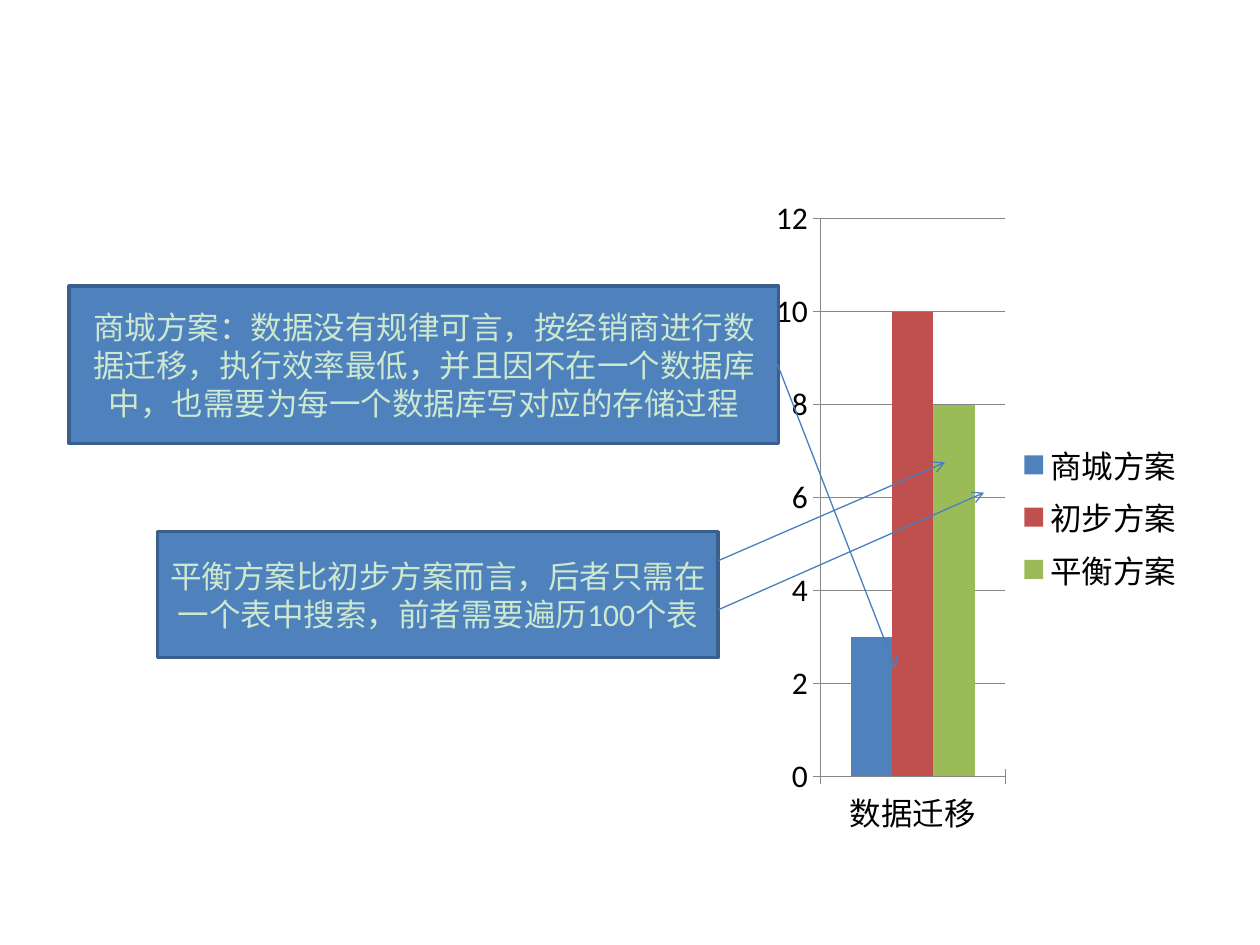
from dataclasses import dataclass

from lxml import etree
from pptx import Presentation
from pptx.chart.data import CategoryChartData
from pptx.dml.color import RGBColor
from pptx.enum.chart import XL_CHART_TYPE, XL_LEGEND_POSITION, XL_TICK_MARK
from pptx.enum.shapes import MSO_CONNECTOR, MSO_SHAPE
from pptx.enum.text import MSO_ANCHOR, PP_ALIGN
from pptx.oxml.ns import qn
from pptx.util import Inches, Pt

COLUMN = XL_CHART_TYPE.COLUMN_CLUSTERED
LEGEND_RIGHT = XL_LEGEND_POSITION.RIGHT
TICK_CROSS = XL_TICK_MARK.CROSS
STRAIGHT = MSO_CONNECTOR.STRAIGHT
RECTANGLE = MSO_SHAPE.RECTANGLE
MIDDLE = MSO_ANCHOR.MIDDLE
CENTER = PP_ALIGN.CENTER
BLANK_LAYOUT = 6


@dataclass(frozen=True)
class Theme:
    font: str = "Calibri"
    size: Pt = Pt(18)
    text: RGBColor = RGBColor(0x00, 0x00, 0x00)
    note_text: RGBColor = RGBColor(0xCC, 0xE8, 0xCF)
    note_fill: RGBColor = RGBColor(0x4F, 0x81, 0xBD)
    note_line: RGBColor = RGBColor(0x3A, 0x5F, 0x8C)
    arrow: RGBColor = RGBColor(0x4B, 0x7E, 0xBC)
    grid: RGBColor = RGBColor(0x87, 0x87, 0x87)
    mall: RGBColor = RGBColor(0x4F, 0x81, 0xBD)
    initial: RGBColor = RGBColor(0xC0, 0x50, 0x4D)
    balanced: RGBColor = RGBColor(0x9B, 0xBB, 0x59)


THEME = Theme()

SCHEMES = [
    ("商城方案", 3, THEME.mall),
    ("初步方案", 10, THEME.initial),
    ("平衡方案", 8, THEME.balanced),
]
NOTES = [
    ("商城方案：数据没有规律可言，按经销商进行数据迁移，执行效率最低，"
     "并且因不在一个数据库中，也需要为每一个数据库写对应的存储过程",
     (0.55, 2.27, 5.63, 1.25)),
    ("平衡方案比初步方案而言，后者只需在一个表中搜索，前者需要遍历100个表",
     (1.25, 4.22, 4.45, 1)),
]
ARROWS = [
    (6.17, 2.89, 7.11, 5.31),
    (5.7, 4.45, 7.5, 3.67),
    (5.7, 4.84, 7.81, 3.91),
]


def style_font(font, color):
    font.name = THEME.font
    font.size = THEME.size
    font.color.rgb = color


def style_line(line, color, width):
    line.color.rgb = color
    line.width = Pt(width)


def add_scheme_chart(slide, box):
    data = CategoryChartData()
    data.categories = ["数据迁移"]
    for name, value, _ in SCHEMES:
        data.add_series(name, [value])
    chart = slide.shapes.add_chart(COLUMN, *map(Inches, box), data).chart
    chart.has_title = False
    style_font(chart.font, THEME.text)
    chart.has_legend = True
    chart.legend.position = LEGEND_RIGHT
    chart.legend.include_in_layout = False

    for axis in (chart.category_axis, chart.value_axis):
        axis.major_tick_mark = TICK_CROSS
        style_line(axis.format.line, THEME.grid, 0.75)
    style_line(chart.value_axis.major_gridlines.format.line, THEME.grid, 0.75)

    plot = chart.plots[0]
    plot.vary_by_categories = False
    plot.gap_width = 150
    for series, (_, _, color) in zip(plot.series, SCHEMES):
        series.format.fill.solid()
        series.format.fill.fore_color.rgb = color


def add_note(slide, text, box):
    sp = slide.shapes.add_shape(RECTANGLE, *map(Inches, box))
    sp.shadow.inherit = False
    sp.fill.solid()
    sp.fill.fore_color.rgb = THEME.note_fill
    style_line(sp.line, THEME.note_line, 2)
    tf = sp.text_frame
    tf.word_wrap = True
    tf.vertical_anchor = MIDDLE
    p = tf.paragraphs[0]
    p.text = text
    p.alignment = CENTER
    style_font(p.font, THEME.note_text)


def add_arrow(slide, ends):
    """Draw an arrow from a note to the column it explains."""
    connector = slide.shapes.add_connector(STRAIGHT, *map(Inches, ends))
    style_line(connector.line, THEME.arrow, 0.75)
    ln = connector.line._get_or_add_ln()
    etree.SubElement(ln, qn("a:tailEnd"), type="arrow")
    etree.SubElement(connector._element.spPr, qn("a:effectLst"))


def main():
    prs = Presentation()
    prs.slide_width, prs.slide_height = Inches(10), Inches(7.5)
    slide = prs.slides.add_slide(prs.slide_layouts[BLANK_LAYOUT])
    add_scheme_chart(slide, (6.09, 1.48, 3.41, 5.25))
    for text, box in NOTES:
        add_note(slide, text, box)
    for ends in ARROWS:
        add_arrow(slide, ends)
    prs.save("out.pptx")


if __name__ == "__main__":
    main()
